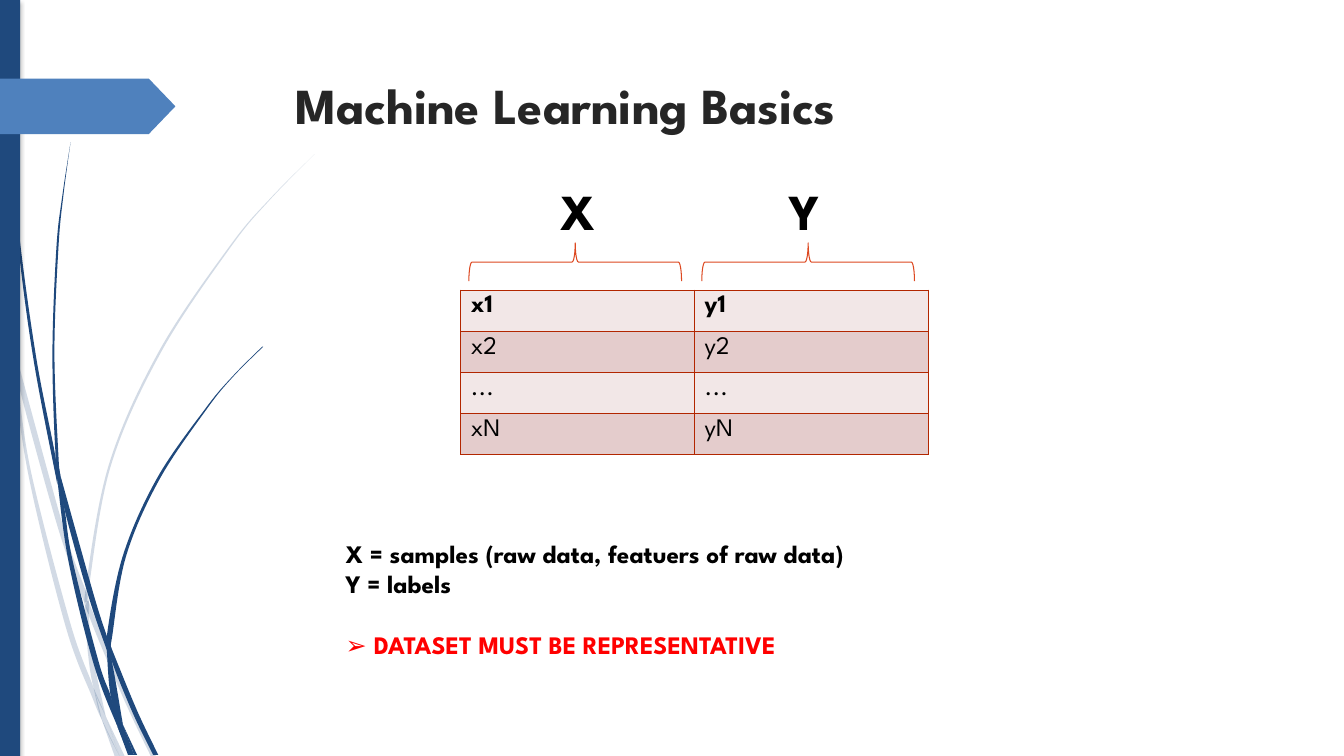
from dataclasses import dataclass

from lxml.etree import SubElement
from pptx import Presentation
from pptx.dml.color import RGBColor
from pptx.enum.shapes import MSO_SHAPE
from pptx.enum.text import MSO_ANCHOR
from pptx.oxml import parse_xml
from pptx.oxml.ns import nsdecls, qn
from pptx.util import Inches, Pt


@dataclass(frozen=True)
class Theme:
    font: str = "League Spartan"
    marker_font: str = "Arial"
    navy: str = "1F497D"
    blue: str = "4F81BD"
    heading: str = "262626"
    ink: str = "000000"
    alert: str = "FF0000"
    brace: str = "DD4820"
    border: str = "B22600"
    bands: tuple = ("F2E7E7", "E4CCCC")
    pale_alpha: int = 20
    heading_size: int = 36
    body_size: int = 18
    border_width: float = 0.96
    brace_width: float = 0.75


THEME = Theme()

PALE_BLADES = [
    ([(0, 2.99), (0.1, 3.44), (0.11, 3.5)], [(0, 2.82), (0.08, 3.22), (0.11, 3.5)]),
    ([(0.14, 3.45), (0.17, 3.76), (0.57, 5.22), (0.84, 5.99)], [(0.14, 3.45), (0.62, 5.2), (0.85, 5.86)]),
    ([(0.88, 5.96), (0.88, 6.1), (1.23, 6.94), (1.5, 7.51)],
     [(0.88, 5.96), (0.92, 6.07), (1.27, 6.91), (1.55, 7.51)]),
    ([(1.05, 7.11), (1.19, 7.51)], [(1.05, 7.11), (1.24, 7.51)]),
    ([(0.11, 3.5), (0.28, 4.7), (0.65, 6.21), (0.92, 6.93), (1.01, 7.14)],
     [(0.11, 3.5), (0.17, 3.76), (0.31, 4.69), (0.7, 6.19), (0.93, 6.83), (1.01, 7.14)]),
    ([(0.84, 5.99), (0.87, 6.46), (0.93, 6.83), (1.05, 7.11)],
     [(0.84, 5.99), (0.88, 6.1), (0.91, 6.46), (1.05, 7.11)]),
    ([(3.12, 1.53), (2.68, 1.97), (2.28, 2.44), (1.58, 3.48), (1.08, 4.61), (0.85, 5.84), (0.88, 5.96)],
     [(3.12, 1.53), (2.68, 1.98), (2.29, 2.45), (1.6, 3.49), (1.1, 4.62), (0.88, 5.84), (0.88, 5.96)]),
    ([(1.01, 7.14), (1.14, 7.51)], [(1.01, 7.14), (1.19, 7.51)]),
    ([(0.85, 5.86), (0.84, 5.99), (0.88, 6.1)], [(0.85, 5.86), (0.88, 5.96), (0.88, 6.1)]),
    ([(0.93, 6.83), (1.01, 7.14), (1.19, 7.51)], [(0.93, 6.83), (1.05, 7.11), (1.19, 7.51)]),
]
NAVY_BLADES = [
    ([(0.03, 0), (0.07, 1.1), (0.17, 2.33), (0.33, 3.55), (0.57, 4.81)],
     [(0.04, 0), (0.08, 1.09), (0.19, 2.32), (0.36, 3.55), (0.55, 4.53), (0.57, 4.81)]),
    ([(0.6, 4.72), (0.64, 5.05), (0.88, 5.92), (1.06, 6.45)], [(0.6, 4.72), (0.93, 5.9), (1.06, 6.31)]),
    ([(1.1, 6.41), (1.11, 6.56), (1.32, 7.08), (1.52, 7.49)],
     [(1.1, 6.41), (1.13, 6.49), (1.36, 7.05), (1.57, 7.49)]),
    ([(0.57, 4.77), (0.68, 5.57), (0.93, 6.59), (1.17, 7.22)],
     [(0.57, 4.77), (0.64, 5.05), (0.72, 5.56), (0.98, 6.57), (1.1, 6.91), (1.17, 7.22)]),
    ([(0.7, 1.41), (0.62, 1.93), (0.56, 2.45), (0.52, 3.49), (0.55, 4.49), (0.6, 4.72)],
     [(0.7, 1.41), (0.63, 1.93), (0.58, 2.45), (0.54, 3.49), (0.58, 4.53), (0.6, 4.72)]),
    ([(1.22, 7.19), (1.33, 7.49)], [(1.22, 7.19), (1.36, 7.49)]),
    ([(0.55, 4.49), (0.57, 4.77), (0.64, 5.05)], [(0.55, 4.49), (0.6, 4.72), (0.64, 5.05)]),
    ([(2.6, 3.44), (2.31, 3.73), (2.04, 4.05), (1.56, 4.74), (1.22, 5.51), (1.06, 6.31), (1.1, 6.41)],
     [(2.61, 3.44), (2.31, 3.74), (2.05, 4.06), (1.58, 4.76), (1.25, 5.52), (1.11, 6.33), (1.1, 6.41)]),
    ([(1.17, 7.22), (1.27, 7.49)], [(1.17, 7.22), (1.31, 7.49)]),
    ([(1.06, 6.45), (1.1, 6.91), (1.22, 7.19)], [(1.06, 6.45), (1.11, 6.56), (1.22, 7.19)]),
    ([(1.06, 6.31), (1.06, 6.45), (1.11, 6.56)], [(1.06, 6.31), (1.1, 6.41), (1.11, 6.56)]),
    ([(1.1, 6.91), (1.17, 7.22), (1.3, 7.49)], [(1.1, 6.91), (1.22, 7.19), (1.33, 7.49)]),
]


def paint(shape, color, alpha=100):
    shape.shadow.inherit = False
    shape.fill.solid()
    shape.fill.fore_color.rgb = RGBColor.from_string(color)
    shape.line.fill.background()
    if alpha < 100:
        tint = shape._element.spPr.find(qn("a:solidFill"))[0]
        SubElement(tint, qn("a:alpha"), val=str(alpha * 1000))


def style_run(run, size, color, bold=True, font=THEME.font):
    run.font.name = font
    run.font.size = Pt(size)
    run.font.bold = bold
    run.font.color.rgb = RGBColor.from_string(color)


def round_edge(lines, knots):
    ends = [knots[0], *knots, knots[-1]]
    for line, a, b, c, d in zip(lines, ends, ends[1:], ends[2:], ends[3:]):
        leaving = [q + (r - p) / 6 for p, q, r in zip(a, b, c)]
        arriving = [r - (s - q) / 6 for q, r, s in zip(b, c, d)]
        line.tag = qn("a:cubicBezTo")
        for index, (x, y) in enumerate((leaving, arriving)):
            line.insert(index, parse_xml(f'<a:pt {nsdecls("a")} x="{round(x)}" y="{round(y)}"/>'))


def add_blade(slide, left, top, near, far, alpha):
    outline = [(left + Inches(x), top + Inches(y)) for x, y in near + far[::-1]]
    builder = slide.shapes.build_freeform(*outline[0], scale=1.0)
    builder.add_line_segments(outline[1:], close=True)
    blade = builder.convert_to_shape()
    paint(blade, THEME.navy, alpha)
    lines = list(blade._element.iter(qn("a:lnTo")))
    knots = [(x - blade.left, y - blade.top) for x, y in outline]
    turn = len(near)
    round_edge(lines[:turn - 1], knots[:turn])
    round_edge(lines[turn:], knots[turn:])


def add_side_decoration(slide, left, top, height):
    for blades, alpha in ((PALE_BLADES, THEME.pale_alpha), (NAVY_BLADES, 100)):
        for near, far in blades:
            add_blade(slide, left, top, near, far, alpha)

    band = slide.shapes.add_shape(MSO_SHAPE.RECTANGLE, left, top, Inches(0.2), height)
    paint(band, THEME.navy)
    effects = band._element.spPr.find(qn("a:effectLst"))
    shadow = SubElement(effects, qn("a:outerShdw"), blurRad=str(Pt(3)), dist=str(Pt(2)), dir="5400000")
    tint = SubElement(shadow, qn("a:srgbClr"), val=THEME.ink)
    SubElement(tint, qn("a:alpha"), val="25000")

    tag = slide.shapes.add_shape(MSO_SHAPE.PENTAGON, left, top + Inches(0.78), Inches(1.74), Inches(0.55))
    tag.adjustments[0] = 0.48
    paint(tag, THEME.blue)


def add_heading(slide, text, left, top, width, height, wrap=True, color=THEME.ink):
    frame = slide.shapes.add_textbox(left, top, width, height).text_frame
    frame.word_wrap = wrap
    frame.vertical_anchor = MSO_ANCHOR.TOP
    frame.text = text
    style_run(frame.paragraphs[0].runs[0], THEME.heading_size, color)


def add_brace(slide, left, top, width, height):
    brace = slide.shapes.add_shape(MSO_SHAPE.LEFT_BRACE, left + (width - height) // 2,
                                   top + (height - width) // 2, height, width)
    brace.rotation = 90
    brace.adjustments[0] = 0.083
    brace.shadow.inherit = False
    brace.fill.background()
    brace.line.color.rgb = RGBColor.from_string(THEME.brace)
    brace.line.width = Pt(THEME.brace_width)


def add_borders(cell):
    properties = cell._tc.get_or_add_tcPr()
    for position, side in enumerate(("lnL", "lnR", "lnT", "lnB")):
        properties.insert(position, parse_xml(
            f'<a:{side} {nsdecls("a")} w="{Pt(THEME.border_width)}"><a:solidFill>'
            f'<a:srgbClr val="{THEME.border}"/></a:solidFill></a:{side}>'))


def add_dataset(slide, left, top, width, height):
    samples = [("x1", "y1"), ("x2", "y2"), ("...", "..."), ("xN", "yN")]
    dataset = slide.shapes.add_table(len(samples), 2, left, top, width, height).table
    for row, pair in enumerate(samples):
        for column, value in enumerate(pair):
            cell = dataset.cell(row, column)
            cell.text = value
            style_run(cell.text_frame.paragraphs[0].runs[0], THEME.body_size, THEME.ink, bold=row == 0)
            cell.fill.solid()
            cell.fill.fore_color.rgb = RGBColor.from_string(THEME.bands[row % 2])
            add_borders(cell)

    for column in range(2):
        add_brace(slide, left + Inches(0.08) + column * Inches(2.31),
                  top - Inches(0.47), Inches(2.11), Inches(0.38))
    label_top = top - Inches(1.14)
    add_heading(slide, "X", left + Inches(0.89), label_top, Inches(0.48), Inches(0.7))
    add_heading(slide, "Y", left + Inches(3.16), label_top, Inches(0.56), Inches(0.7), wrap=False)


def add_definitions(slide, left, top, width, height):
    frame = slide.shapes.add_textbox(left, top, width, height).text_frame
    frame.word_wrap = True
    frame.text = "X = samples (raw data, featuers of raw data)\nY = labels"
    for definition in frame.paragraphs:
        style_run(definition.runs[0], THEME.body_size, THEME.ink)

    requirement = frame.add_paragraph()
    requirement.space_before = Pt(22)
    for text, font in (("➢ ", THEME.marker_font), ("DATASET MUST BE REPRESENTATIVE", THEME.font)):
        run = requirement.add_run()
        run.text = text
        style_run(run, THEME.body_size, THEME.alert, font=font)


def main():
    deck = Presentation()
    deck.slide_width, deck.slide_height = Inches(13.33), Inches(7.5)
    slide = deck.slides.add_slide(deck.slide_layouts[6])
    add_side_decoration(slide, 0, 0, deck.slide_height)
    add_heading(slide, "Machine Learning Basics", Inches(2.83), Inches(0.69),
                Inches(9.75), Inches(1.4), color=THEME.heading)
    add_dataset(slide, Inches(4.57), Inches(2.88), Inches(4.64), Inches(1.63))
    add_definitions(slide, Inches(3.33), Inches(5.29), Inches(6.27), Inches(1.6))
    deck.save("out.pptx")


if __name__ == "__main__":
    main()
